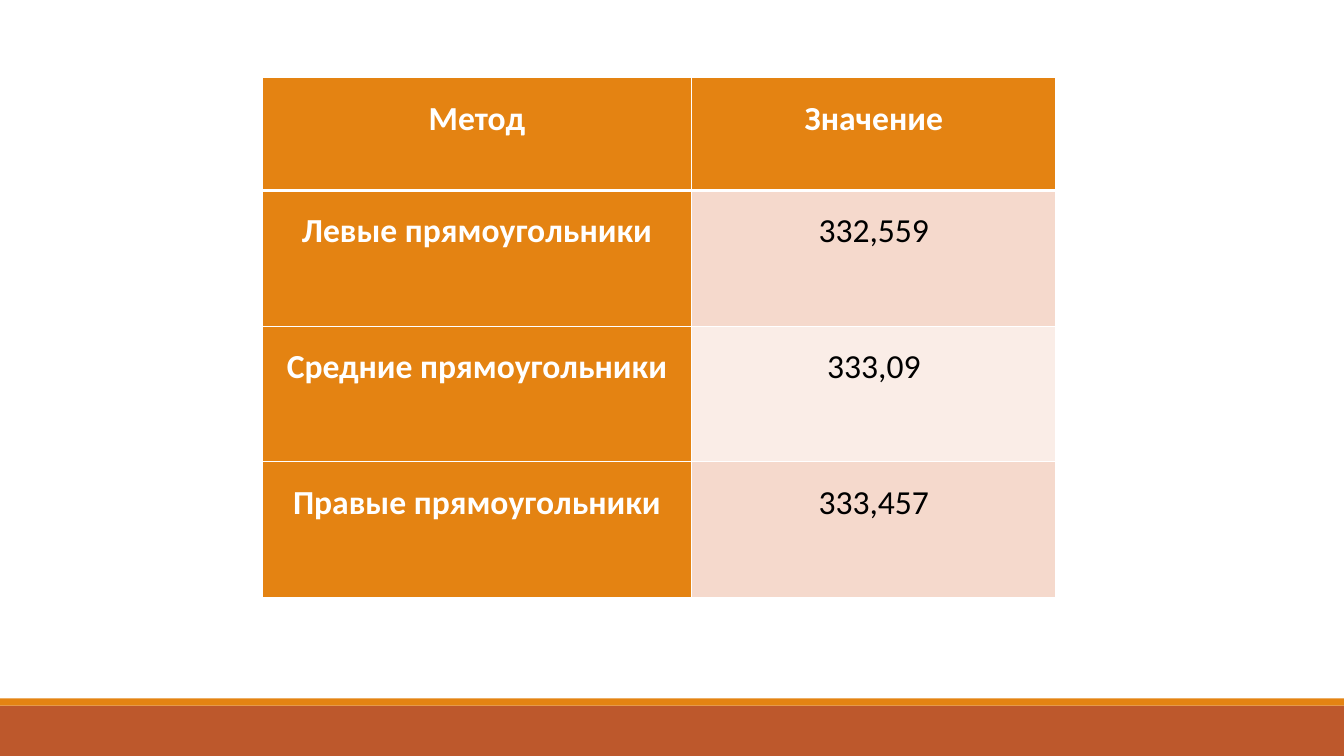
from lxml import etree
from pptx import Presentation
from pptx import util as u
from pptx.dml.color import RGBColor
from pptx.enum import shapes, text
from pptx.oxml import ns

ORANGE = RGBColor(0xE4, 0x83, 0x12)
RUST = RGBColor(0xBD, 0x58, 0x2C)
BANDS = RGBColor(0xF5, 0xD9, 0xCC), RGBColor(0xFA, 0xED, 0xE7)
WHITE = RGBColor(0xFF, 0xFF, 0xFF)
BLACK = RGBColor(0, 0, 0)

ROWS = [
    ("Метод", "Значение"),
    ("Левые прямоугольники", "332,559"),
    ("Средние прямоугольники", "333,09"),
    ("Правые прямоугольники", "333,457"),
]


class SlideBuilder:
    """Draws styled bars and tables on one slide, with lengths in points."""

    font = "Calibri"
    size = 24
    inset = 5.4

    def __init__(self, slide):
        self.slide = slide

    def bar(self, x, y, w, h, color):
        sp = self.slide.shapes.add_shape(
            shapes.MSO_SHAPE.RECTANGLE, u.Pt(x), u.Pt(y), u.Pt(w), u.Pt(h))
        sp.shadow.inherit = False
        sp.fill.solid()
        sp.fill.fore_color.rgb = color
        sp.line.fill.background()

    def border(self, cell, side, width):
        ln = etree.SubElement(cell._tc.get_or_add_tcPr(), ns.qn(f"a:ln{side}"),
                              w=str(u.Pt(width)))
        fill = etree.SubElement(ln, ns.qn("a:solidFill"))
        etree.SubElement(fill, ns.qn("a:srgbClr"), val=str(WHITE))

    def cell(self, cell, value, fill, color, bold, top, bottom):
        cell.margin_left = cell.margin_right = u.Pt(self.inset)
        cell.margin_top = cell.margin_bottom = 0
        for side, width in (("L", 1), ("R", 1), ("T", top), ("B", bottom)):
            self.border(cell, side, width)
        cell.fill.solid()
        cell.fill.fore_color.rgb = fill
        cell.text_frame.text = value
        p = cell.text_frame.paragraphs[0]
        p.alignment = text.PP_ALIGN.CENTER
        p.line_spacing = 1.5
        font = p.runs[0].font
        font.name, font.size, font.bold = self.font, u.Pt(self.size), bold
        font.color.rgb = color

    def table(self, x, y, widths, heights, rows):
        table = self.slide.shapes.add_table(
            len(rows), len(widths), u.Pt(x), u.Pt(y),
            u.Pt(sum(widths)), u.Pt(sum(heights))).table
        for column, width in zip(table.columns, widths):
            column.width = u.Pt(width)
        for i, (values, height) in enumerate(zip(rows, heights)):
            table.rows[i].height = u.Pt(height)
            for j, value in enumerate(values):
                head = i == 0 or j == 0
                fill = ORANGE if head else BANDS[(i - 1) % 2]
                self.cell(table.cell(i, j), value, fill,
                          WHITE if head else BLACK, head,
                          top=3 if i == 1 else 1, bottom=3 if i == 0 else 1)


def main():
    prs = Presentation()
    prs.slide_width, prs.slide_height = u.Pt(960), u.Pt(540)
    s = SlideBuilder(prs.slides.add_slide(prs.slide_layouts[6]))
    s.bar(0, 504, 960, 36, RUST)
    s.bar(0, 498.8, 960, 5.2, ORANGE)
    s.table(187.2, 55.5, [307, 260], [80.5] + [97] * 3, ROWS)
    prs.save("out.pptx")


if __name__ == "__main__":
    main()
